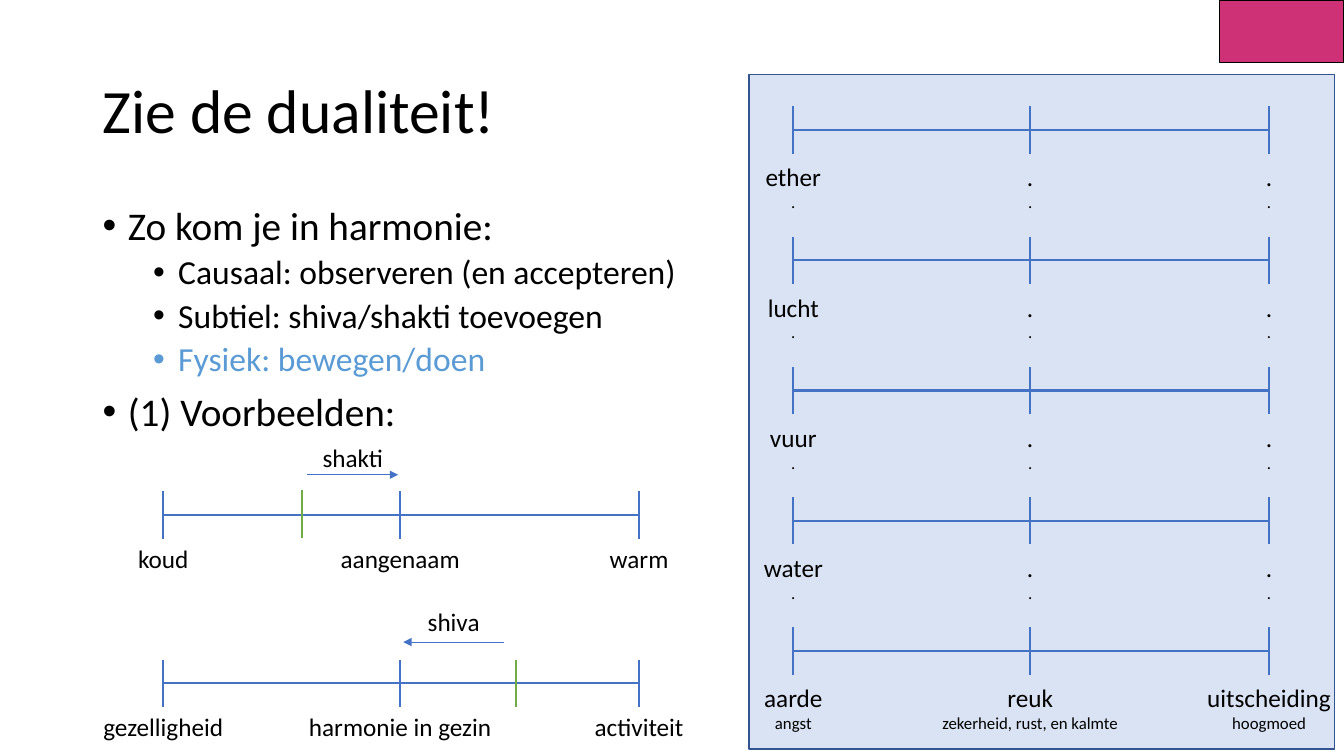
"""Build the slide on duality: aims and two examples at left, five elements at right."""
from typing import NamedTuple

from lxml import etree
from pptx import Presentation, util as u
from pptx.dml import color
from pptx.enum import shapes, text
from pptx.oxml import ns

CELL = 0.1
COLS, ROWS = 133.33, 75
BLUE, GREEN, BLACK = "4472C4", "70AD47", "000000"
HALF = 2.35


class Label(NamedTuple):
    """Centred lines of text, placed by middle, top and width."""
    mid: float
    top: float
    wide: float
    lines: tuple[str, ...]


class Scale(NamedTuple):
    """A line with three ticks and a label below each."""
    left: float
    row: float
    drop: float
    words: tuple[tuple[str, ...], ...]
    wides: tuple[float, ...]


class Push(NamedTuple):
    """A named arrow toward the middle, with its green starting tick."""
    name: str
    start: float
    end: float
    row: float
    rise: float
    mark: float
    axis: float
    wide: float


class Point(NamedTuple):
    """One bullet of the outline."""
    words: str
    level: int
    hue: str = BLACK


STEPS = (0, 23.5, 47.2)
DOTS = (".", ".")
PITCH = 12.92
ELEMENTS = (("ether", 7.6), ("lucht", 7.2), ("vuur", 6.7), ("water", 7.9))
SCALES = [
    Scale(16.2, 51.1, 2.3, (("koud",), ("aangenaam",), ("warm",)), (7.1, 14, 7.9)),
    Scale(16.2, 67.8, 2.3, (("gezelligheid",), ("harmonie in gezin",), ("activiteit",)),
          (14.1, 20.3, 10.9)),
    *(Scale(78.7, 12.9 + PITCH * i, 2.65, ((name, "."), DOTS, DOTS), (wide, 2.7, 2.7))
      for i, (name, wide) in enumerate(ELEMENTS)),
    Scale(78.7, 12.9 + PITCH * 4, 2.65,
          (("aarde", "angst"), ("reuk", "zekerheid, rust, en kalmte"),
           ("uitscheiding", "hoogmoed")), (7.9, 19.6, 14.4)),
]
PUSHES = (
    Push("shakti", 30.5, 39.5, 47.1, 3.7, 30, 51, 8.1),
    Push("shiva", 50, 40, 63.7, 4, 51.2, 67.8, 7.2),
)
POINTS = (
    Point("Zo kom je in harmonie:", 0),
    Point("Causaal: observeren (en accepteren)", 1),
    Point("Subtiel: shiva/shakti toevoegen", 1),
    Point("Fysiek: bewegen/doen", 1, "5B9BD5"),
    Point("(1) Voorbeelden:", 0),
)


def size(cells: float) -> int:
    """Turn grid cells into a length."""
    return u.Inches(cells * CELL)


def tint(code: str) -> color.RGBColor:
    """Turn a hex string into a colour."""
    return color.RGBColor.from_string(code)


def style(item, **marks) -> None:
    """Set each given attribute on an item."""
    for key, mark in marks.items():
        setattr(item, key, mark)


def write(para, words: str, points: float, hue: str = BLACK) -> None:
    """Add one run to a paragraph."""
    run = para.add_run()
    run.text = words
    style(run.font, size=u.Pt(points), name="Calibri")
    run.font.color.rgb = tint(hue)


def line(slide, x1: float, y1: float, x2: float, y2: float, hue: str = BLUE,
         width: float = 1.5, head: bool = False) -> None:
    """Draw a straight line, with an arrowhead at its end if asked."""
    link = slide.shapes.add_connector(shapes.MSO_CONNECTOR.STRAIGHT,
                                      size(x1), size(y1), size(x2), size(y2))
    link.line.width = u.Pt(width)
    link.line.color.rgb = tint(hue)
    if head:
        etree.SubElement(link.line._get_or_add_ln(), ns.qn("a:tailEnd"), type="triangle")
    etree.SubElement(link._element.spPr, ns.qn("a:effectLst"))


def block(slide, x: float, y: float, wide: float, high: float, fill: str, edge: str) -> None:
    """Draw a filled, outlined rectangle."""
    box = slide.shapes.add_shape(shapes.MSO_SHAPE.RECTANGLE,
                                 size(x), size(y), size(wide), size(high))
    box.shadow.inherit = False
    box.fill.solid()
    box.fill.fore_color.rgb = tint(fill)
    box.line.color.rgb = tint(edge)
    box.line.width = u.Pt(1)


def frame(slide, x: float, y: float, wide: float, high: float, **marks):
    """Add a text box and return its text frame."""
    body = slide.shapes.add_textbox(size(x), size(y), size(wide), size(high)).text_frame
    style(body, **marks)
    return body


def label(slide, tag: Label) -> None:
    """Write a centred label, its second line smaller."""
    high = 4 if len(tag.lines) == 1 else 6.1
    body = frame(slide, tag.mid - tag.wide / 2, tag.top, tag.wide, high,
                 word_wrap=False, auto_size=text.MSO_AUTO_SIZE.SHAPE_TO_FIT_TEXT)
    for i, words in enumerate(tag.lines):
        para = body.add_paragraph() if i else body.paragraphs[0]
        para.alignment = text.PP_ALIGN.CENTER
        write(para, words, 12 if i else 18)


def scale(slide, axis: Scale) -> None:
    """Draw a scale with its ticks and labels."""
    line(slide, axis.left, axis.row, axis.left + STEPS[-1], axis.row)
    for step, words, wide in zip(STEPS, axis.words, axis.wides):
        x = axis.left + step
        line(slide, x, axis.row - HALF, x, axis.row + HALF)
        label(slide, Label(x, axis.row + axis.drop, wide, words))


def push(slide, move: Push) -> None:
    """Draw an arrow, its name and its green tick."""
    line(slide, move.mark, move.axis - HALF, move.mark, move.axis + HALF, GREEN)
    line(slide, move.start, move.row, move.end, move.row, width=0.5, head=True)
    label(slide, Label((move.start + move.end) / 2, move.row - move.rise,
                       move.wide, (move.name,)))


def outline(slide) -> None:
    """Write the title and the bullets."""
    title = frame(slide, 9.2, 4, 115, 14.5, word_wrap=True,
                  vertical_anchor=text.MSO_ANCHOR.MIDDLE)
    title.paragraphs[0].line_spacing = 0.9
    write(title.paragraphs[0], "Zie de dualiteit!", 44)
    body = frame(slide, 9.2, 20, 115, 47.6, word_wrap=True)
    for i, point in enumerate(POINTS):
        para = body.add_paragraph() if i else body.paragraphs[0]
        style(para, level=point.level, line_spacing=0.9,
              space_before=u.Pt(5 if point.level else 10))
        props = para._p.get_or_add_pPr()
        props.set("marL", str(size(2.5 + 5 * point.level)))
        props.set("indent", str(size(-2.5)))
        etree.SubElement(props, ns.qn("a:buFont"), typeface="Arial")
        etree.SubElement(props, ns.qn("a:buChar"), char="•")
        write(para, point.words, 24 if point.level else 28, point.hue)


def main() -> None:
    """Build and save the slide."""
    deck = Presentation()
    style(deck, slide_width=size(COLS), slide_height=size(ROWS))
    slide = deck.slides.add_slide(deck.slide_layouts[6])
    block(slide, 74.3, 7.4, 58.1, 66.9, "DAE3F3", "325491")
    outline(slide)
    for axis in SCALES:
        scale(slide, axis)
    for move in PUSHES:
        push(slide, move)
    block(slide, 121, 0, 12.3, 6.2, "CE3175", BLACK)
    deck.save("out.pptx")


if __name__ == "__main__":
    main()
